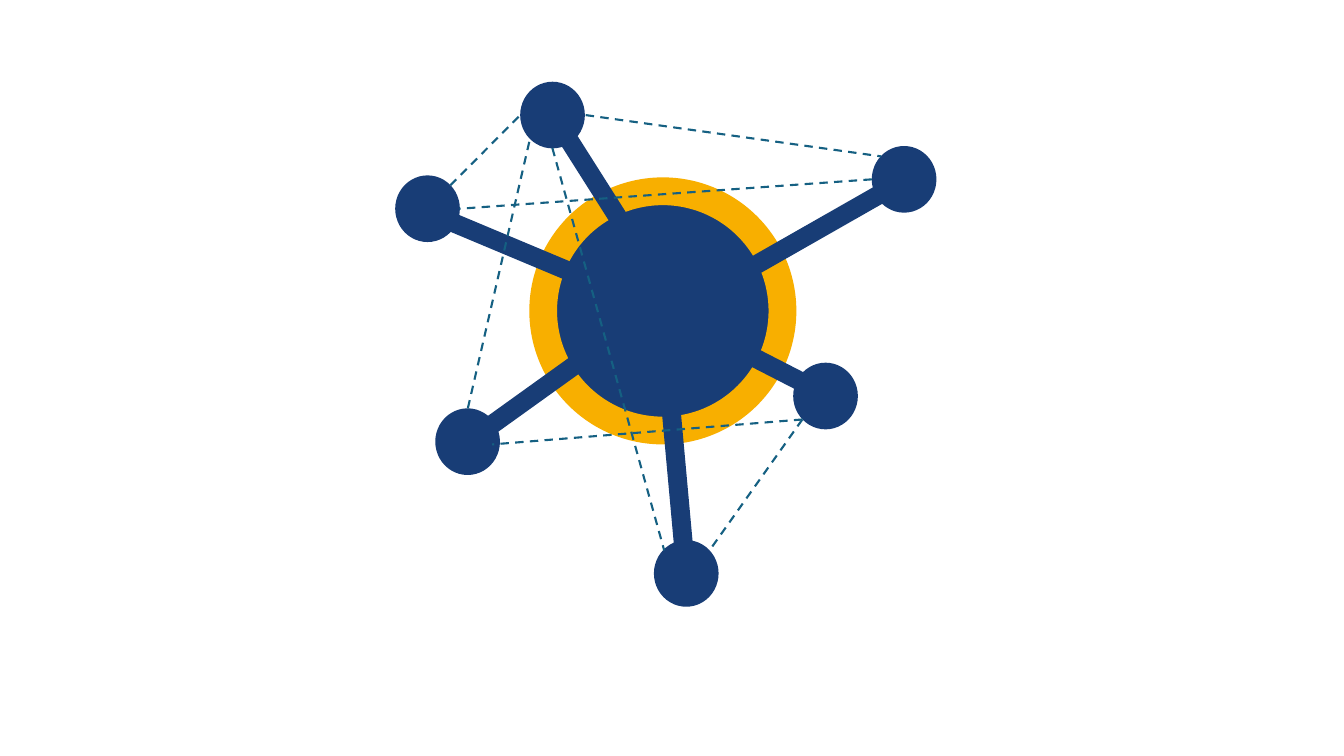
from typing import NamedTuple

from lxml.etree import SubElement
from pptx import Presentation
from pptx.dml.color import RGBColor as Rgb
from pptx.enum.dml import MSO_LINE_DASH_STYLE as Dash
from pptx.enum.shapes import MSO_CONNECTOR as Conn, MSO_SHAPE as Shape
from pptx.oxml.ns import qn
from pptx.shapes.autoshape import Shape as Auto
from pptx.util import Cm, Pt

COLORS = {"navy": "183D76", "gold": "F8AF00", "teal": "156082", "edge": "092A39"}


class Disc(NamedTuple):
    x: float
    y: float
    w: float
    h: float
    color: str = "navy"
    kind: Shape = Shape.OVAL


class Link(NamedTuple):
    x1: float
    y1: float
    x2: float
    y2: float


# Centre: a disc under a gold ring
CORE = Disc(13.61, 4.78, 6.15, 6.15)
RING = Disc(13.34, 4.47, 6.73, 6.73, "gold", Shape.DONUT)

# Outer nodes, all of one size
NODES = [
    Disc(x, y, 1.63, 1.68)
    for x, y in [(9.96, 4.42), (13.11, 2.06), (10.97, 10.29),
                 (19.99, 9.14), (21.97, 3.68), (16.48, 13.61)]
]

# Thick spokes from node to centre
SPOKES = [
    Link(10.82, 5.36, 16.69, 7.82),
    Link(11.91, 11.05, 16.48, 7.77),
    Link(17.27, 14.25, 16.69, 7.87),
    Link(20.7, 9.88, 16.59, 7.77),
    Link(13.92, 2.87, 17.09, 7.87),
    Link(22.78, 4.55, 16.76, 7.98),
]

# Dashed ties between nodes
TIES = [
    Link(11.35, 4.67, 13.11, 2.9),
    Link(11.79, 10.29, 13.36, 3.48),
    Link(14.76, 2.9, 22.2, 3.94),
    Link(20.22, 10.57, 12.4, 11.2),
    Link(13.92, 3.73, 16.74, 13.87),
    Link(20.22, 10.57, 17.88, 13.87),
    Link(21.97, 4.52, 11.58, 5.26),
]

deck = Presentation()
deck.slide_width, deck.slide_height = Cm(33.87), Cm(19.05)
slide = deck.slides.add_slide(deck.slide_layouts[6])


def tint(name: str) -> Rgb:
    return Rgb.from_string(COLORS[name])


def add_disc(disc: Disc) -> Auto:
    shape = slide.shapes.add_shape(
        disc.kind, Cm(disc.x), Cm(disc.y), Cm(disc.w), Cm(disc.h))
    shape.shadow.inherit = False
    shape.fill.solid()
    shape.fill.fore_color.rgb = tint(disc.color)
    shape.line.fill.background()
    return shape


def add_link(link: Link, color: str, width: float, dash: bool = False) -> None:
    line = slide.shapes.add_connector(
        Conn.STRAIGHT, Cm(link.x1), Cm(link.y1), Cm(link.x2), Cm(link.y2))
    line.line.color.rgb = tint(color)
    line.line.width = Pt(width)
    if dash:
        line.line.dash_style = Dash.DASH
    SubElement(line._element.spPr, qn("a:effectLst"))


# Discs
core = add_disc(CORE)
core.line.color.rgb = tint("edge")
core.line.width = Pt(1.5)
add_disc(RING).adjustments[0] = 0.104
for node in NODES:
    add_disc(node)

# Lines
for spoke in SPOKES:
    add_link(spoke, "navy", 13.5)
for tie in TIES:
    add_link(tie, "teal", 1.5, dash=True)

deck.save("out.pptx")
